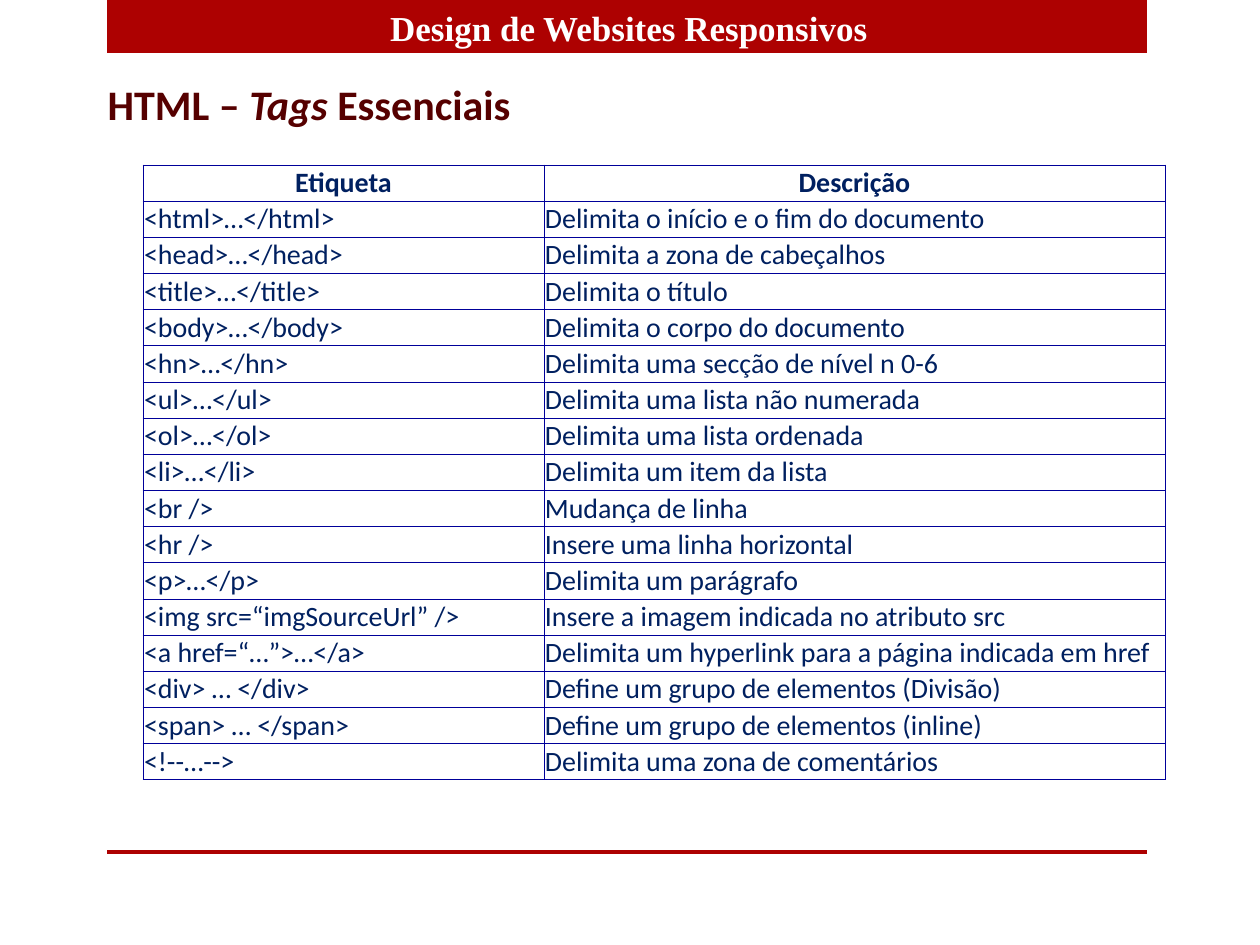
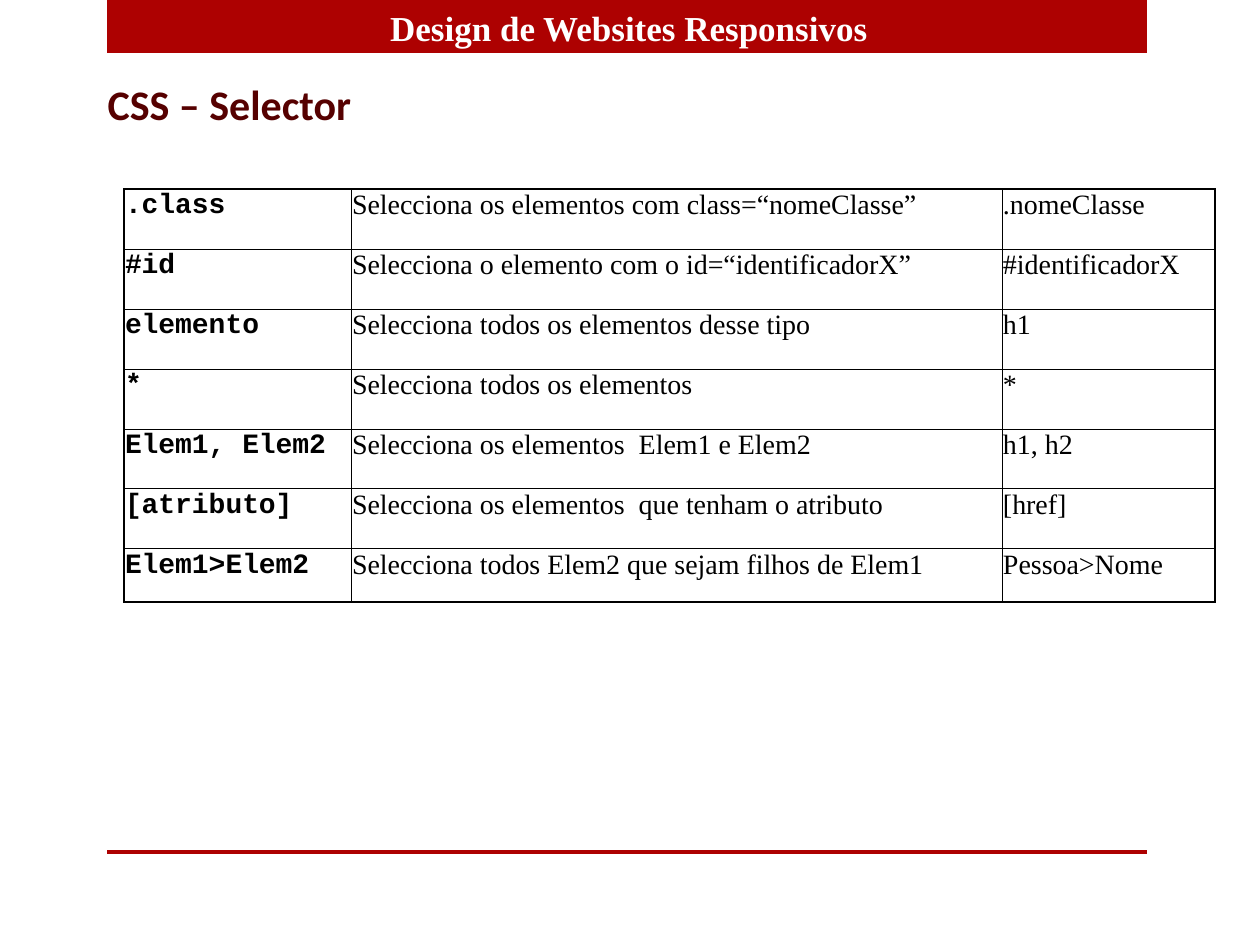
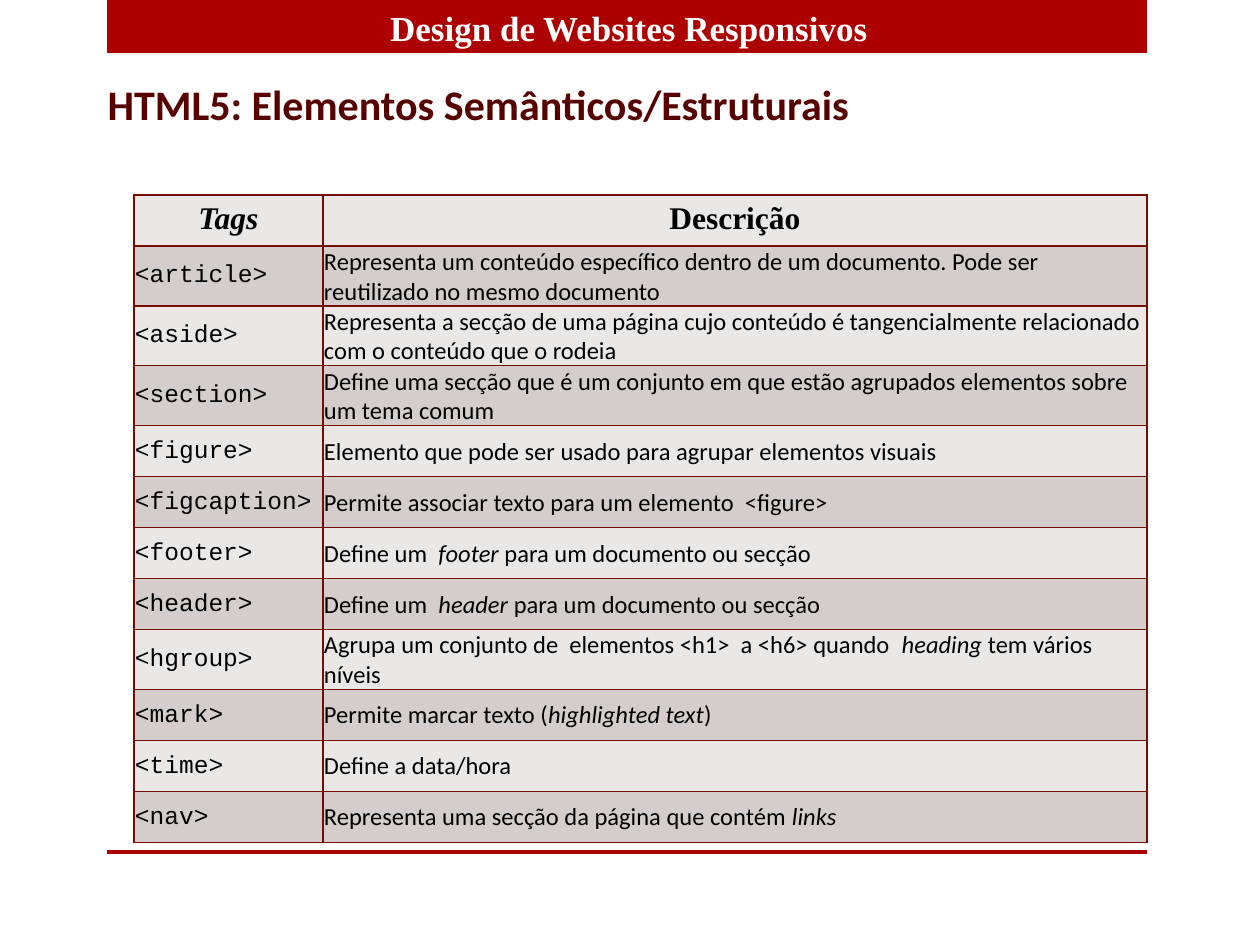
from dataclasses import dataclass
from typing import Optional

from lxml.etree import SubElement
from pptx import Presentation
from pptx.dml.color import RGBColor
from pptx.enum.shapes import MSO_SHAPE as Shape
from pptx.enum.text import MSO_ANCHOR as Anchor, MSO_AUTO_SIZE as AutoSize, PP_ALIGN as Align
from pptx.oxml.ns import qn
from pptx.util import Emu, Inches, Pt

PX_PER_INCH = 126
SLIDE_W, SLIDE_H = 1260, 945
TITLE_ONLY = 5

RED = "AD0101"
MAROON = "560000"
WHITE = "FFFFFF"
BLACK = "000000"
NAVY = "002060"

SANS = "Calibri"
SERIF = "Times New Roman"
MONO = "Courier New"

COURSE = "Design de Websites Responsivos"


@dataclass
class Box:
    x: int
    y: int
    w: int
    h: int


@dataclass
class Column:
    width: int
    font: str
    bold: bool = False


@dataclass
class Header:
    font: str
    size: int
    padded: bool = False


@dataclass
class Grid:
    x: int
    y: int
    height: int
    columns: list[Column]
    rows: list[tuple[str, ...]]
    size: int
    color: str
    border: str
    inner_pt: float
    outer_pt: float
    fills: tuple[str, ...] = (WHITE,)
    header: Optional[Header] = None
    anchor: Anchor = Anchor.TOP
    last_row: Optional[int] = None


@dataclass
class Page:
    title: str
    title_w: int
    grid: Grid


BANDS = [Box(107, 0, 1040, 53), Box(107, 850, 1040, 4)]
BANNER = Box(292, 0, 674, 55)

HTML_TAGS = Grid(
    x=143, y=165, height=615, size=16, color=NAVY,
    border="000099", inner_pt=0.5, outer_pt=0.5,
    columns=[Column(401, SANS), Column(621, SANS)],
    header=Header(SANS, 16),
    rows=[
        ("Etiqueta", "Descrição"),
        ("<html>…</html>", "Delimita o início e o fim do documento"),
        ("<head>…</head>", "Delimita a zona de cabeçalhos"),
        ("<title>…</title>", "Delimita o título"),
        ("<body>…</body>", "Delimita o corpo do documento"),
        ("<hn>…</hn>", "Delimita uma secção de nível n 0-6"),
        ("<ul>…</ul>", "Delimita uma lista não numerada"),
        ("<ol>…</ol>", "Delimita uma lista ordenada"),
        ("<li>…</li>", "Delimita um item da lista"),
        ("<br />", "Mudança de linha"),
        ("<hr />", "Insere uma linha horizontal"),
        ("<p>…</p>", "Delimita um parágrafo"),
        ("<img src=“imgSourceUrl” />", "Insere a imagem indicada no atributo src"),
        ("<a href=“…”>…</a>", "Delimita um hyperlink para a página indicada em href"),
        ("<div> … </div>", "Define um grupo de elementos (Divisão)"),
        ("<span> … </span>", "Define um grupo de elementos (inline)"),
        ("<!--…-->", "Delimita uma zona de comentários"),
    ],
)

CSS_SELECTORS = Grid(
    x=124, y=189, height=420, last_row=53, size=16, color=BLACK,
    border=BLACK, inner_pt=0.5, outer_pt=1,
    columns=[Column(227, MONO, bold=True), Column(651, SERIF), Column(213, SERIF)],
    rows=[
        (".class", "Selecciona os elementos com class=“nomeClasse”", ".nomeClasse"),
        ("#id", "Selecciona o elemento com o id=“identificadorX”", "#identificadorX"),
        ("elemento", "Selecciona todos os elementos desse tipo", "h1"),
        ("*", "Selecciona todos os elementos", "*"),
        ("Elem1, Elem2", "Selecciona os elementos  Elem1 e Elem2", "h1, h2"),
        ("[atributo]", "Selecciona os elementos  que tenham o atributo", "[href]"),
        ("Elem1>Elem2", "Selecciona todos Elem2 que sejam filhos de Elem1", "Pessoa>Nome"),
    ],
)

HTML5_ELEMENTS = Grid(
    x=134, y=195, height=612, size=14, color=BLACK,
    border="730E00", inner_pt=1, outer_pt=1,
    fills=("EBE7E7", "D5CCCC"), anchor=Anchor.MIDDLE,
    columns=[Column(189, MONO), Column(824, SANS)],
    header=Header(SERIF, 18, padded=True),
    rows=[
        ("_Tags_", "Descrição"),
        ("<article>", "Representa um conteúdo específico dentro de um documento. "
                      "Pode ser reutilizado no mesmo documento"),
        ("<aside>", "Representa a secção de uma página cujo conteúdo é tangencialmente "
                    "relacionado com o conteúdo que o rodeia"),
        ("<section>", "Define uma secção que é um conjunto em que estão agrupados "
                      "elementos sobre um tema comum"),
        ("<figure>", "Elemento que pode ser usado para agrupar elementos visuais"),
        ("<figcaption>", "Permite associar texto para um elemento  <figure>"),
        ("<footer>", "Define um  _footer _para um documento ou secção"),
        ("<header>", "Define um  _header _para um documento ou secção"),
        ("<hgroup>", "Agrupa um conjunto de  elementos <h1>  a <h6> quando  "
                     "_heading_ tem vários níveis"),
        ("<mark>", "Permite marcar texto (_highlighted text_)"),
        ("<time>", "Define a data/hora"),
        ("<nav>", "Representa uma secção da página que contém _links_"),
    ],
)

PAGES = [
    Page("HTML – _Tags _Essenciais", 451, HTML_TAGS),
    Page("CSS – Selector", 272, CSS_SELECTORS),
    Page("HTML5: Elementos Semânticos/Estruturais", 774, HTML5_ELEMENTS),
]


def px(n: int) -> Emu:
    return Emu(round(n * Inches(1) / PX_PER_INCH))


def rgb(color: str) -> RGBColor:
    return RGBColor.from_string(color)


def place(box: Box) -> tuple[Emu, ...]:
    return px(box.x), px(box.y), px(box.w), px(box.h)


def write(tf, text: str, *, font: str, size: int, color: str,
          bold: bool = False, align: Align = Align.LEFT) -> None:
    """Fill the first paragraph; parts between underscores are italic."""
    p = tf.paragraphs[0]
    p.alignment = align
    for i, part in enumerate(text.split("_")):
        if not part:
            continue
        r = p.add_run()
        r.text = part
        r.font.name = font
        r.font.size = Pt(size)
        r.font.color.rgb = rgb(color)
        r.font.bold = bold
        r.font.italic = i % 2 == 1


def add_frame(slide) -> None:
    """Draw the bands and the course name that every slide has."""
    for band in BANDS:
        sp = slide.shapes.add_shape(Shape.RECTANGLE, *place(band))
        sp.shadow.inherit = False
        sp.fill.solid()
        sp.fill.fore_color.rgb = rgb(RED)
        sp.line.fill.background()
    tf = slide.shapes.add_textbox(*place(BANNER)).text_frame
    tf.word_wrap = True
    write(tf, COURSE, font=SERIF, size=20, color=WHITE, bold=True, align=Align.CENTER)


def set_title(slide, text: str, width: int) -> None:
    sp = slide.shapes.title
    sp.left, sp.top, sp.width, sp.height = place(Box(95, 72, width, 63))
    tf = sp.text_frame
    tf.word_wrap = False
    tf.auto_size = AutoSize.SHAPE_TO_FIT_TEXT
    tf.vertical_anchor = Anchor.TOP
    write(tf, text, font=SANS, size=24, color=MAROON, bold=True)


def set_borders(cell, color: str, widths: dict[str, float]) -> None:
    tc_pr = cell._tc.get_or_add_tcPr()
    for side, width in widths.items():
        ln = SubElement(tc_pr, qn(f"a:ln{side}"), w=str(Pt(width)))
        fill = SubElement(ln, qn("a:solidFill"))
        SubElement(fill, qn("a:srgbClr"), val=color)


def format_cell(cell, grid: Grid, row: int, col: int) -> None:
    column = grid.columns[col]
    header = grid.header if row == 0 else None
    on_edge = {
        "L": col == 0,
        "R": col == len(grid.columns) - 1,
        "T": row == 0,
        "B": row == len(grid.rows) - 1,
    }
    set_borders(cell, grid.border, {
        side: grid.outer_pt if edge else grid.inner_pt for side, edge in on_edge.items()
    })
    cell.fill.solid()
    cell.fill.fore_color.rgb = rgb(grid.fills[row % len(grid.fills)])
    cell.vertical_anchor = Anchor.TOP if header else grid.anchor
    if not (header and header.padded):
        cell.margin_left = cell.margin_right = cell.margin_top = px(1)
        cell.margin_bottom = 0
    write(cell.text_frame, grid.rows[row][col],
          font=header.font if header else column.font,
          size=header.size if header else grid.size,
          color=grid.color,
          bold=bool(header) or column.bold,
          align=Align.CENTER if header else Align.LEFT)


def add_grid(slide, grid: Grid) -> None:
    box = Box(grid.x, grid.y, sum(c.width for c in grid.columns), grid.height)
    table = slide.shapes.add_table(len(grid.rows), len(grid.columns), *place(box)).table
    table.first_row = table.horz_banding = False
    for i, column in enumerate(grid.columns):
        table.columns[i].width = px(column.width)
    if grid.last_row:
        table.rows[len(grid.rows) - 1].height = px(grid.last_row)
    for row in range(len(grid.rows)):
        for col in range(len(grid.columns)):
            format_cell(table.cell(row, col), grid, row, col)


def main() -> None:
    prs = Presentation()
    prs.slide_width, prs.slide_height = px(SLIDE_W), px(SLIDE_H)
    for page in PAGES:
        slide = prs.slides.add_slide(prs.slide_layouts[TITLE_ONLY])
        add_frame(slide)
        set_title(slide, page.title, page.title_w)
        add_grid(slide, page.grid)
    prs.save("out.pptx")


if __name__ == "__main__":
    main()
